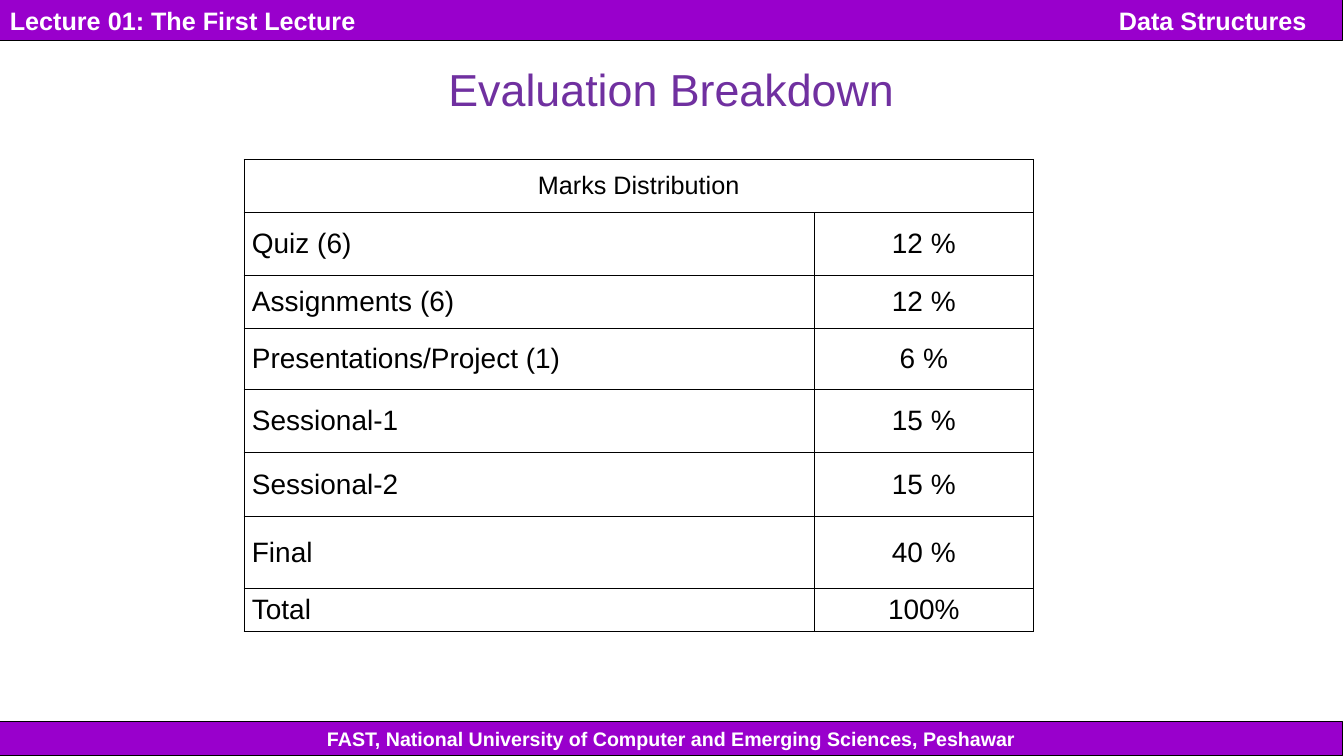
from dataclasses import dataclass

from lxml import etree
from pptx import Presentation
from pptx.dml.color import RGBColor
from pptx.enum import shapes, text
from pptx.oxml import ns
from pptx.util import Inches, Pt


@dataclass(frozen=True)
class Theme:
    font: str = "Arial"
    bar: RGBColor = RGBColor(0x99, 0x00, 0xCC)
    bar_text: RGBColor = RGBColor(0xFF, 0xFF, 0xFF)
    heading: RGBColor = RGBColor(0x70, 0x30, 0xA0)
    ink: RGBColor = RGBColor(0, 0, 0)
    title_size: int = 32
    header_size: int = 18
    footer_size: int = 14
    caption_size: int = 18
    cell_size: int = 20
    bar_line: float = 0.75
    cell_line: float = 0.45


THEME = Theme()
LEFT, CENTER = text.PP_ALIGN.LEFT, text.PP_ALIGN.CENTER
SLIDE_WIDTH, SLIDE_HEIGHT = 13.34, 7.5
BAR_WIDTH = 13.33
FOOTER_HEIGHT = 0.34

# Each row: label, share of marks, row height in inches
MARKS = [
    ("Quiz (6)", "12 %", 0.62),
    ("Assignments (6)", "12 %", 0.53),
    ("Presentations/Project (1)", "6 %", 0.6),
    ("Sessional-1", "15 %", 0.63),
    ("Sessional-2", "15 %", 0.63),
    ("Final", "40 %", 0.72),
    ("Total", "100%", 0.42),
]
CAPTION_HEIGHT = 0.53
COLUMN_WIDTHS = (5.66, 2.18)


def write(frame, words, size, color, align=LEFT, bold=False):
    paragraph = frame.paragraphs[0]
    paragraph.alignment = align
    run = paragraph.add_run()
    run.text = words
    run.font.name = THEME.font
    run.font.size = Pt(size)
    run.font.bold = bold
    run.font.color.rgb = color
    return paragraph


def add_bar(slide, top, height, words, size, align):
    bar = slide.shapes.add_shape(shapes.MSO_SHAPE.RECTANGLE, 0, Inches(top),
                                 Inches(BAR_WIDTH), Inches(height))
    bar.shadow.inherit = False
    bar.fill.solid()
    bar.fill.fore_color.rgb = THEME.bar
    bar.line.color.rgb = THEME.ink
    bar.line.width = Pt(THEME.bar_line)
    bar.text_frame.vertical_anchor = text.MSO_ANCHOR.MIDDLE
    return write(bar.text_frame, words, size, THEME.bar_text, align, bold=True)


def add_right_tab(paragraph, position):
    tabs = etree.SubElement(paragraph._p.get_or_add_pPr(), ns.qn("a:tabLst"))
    etree.SubElement(tabs, ns.qn("a:tab"), pos=str(Inches(position)), algn="r")


def set_title(slide, words):
    title = slide.shapes.title
    title.left, title.top = Inches(0), Inches(0.42)
    title.width, title.height = Inches(BAR_WIDTH), Inches(0.92)
    title.text_frame.vertical_anchor = text.MSO_ANCHOR.MIDDLE
    write(title.text_frame, words, THEME.title_size, THEME.heading, CENTER)


def outline_cell(cell):
    properties = cell._tc.get_or_add_tcPr()
    for position, side in enumerate(("lnL", "lnR", "lnT", "lnB")):
        border = etree.Element(ns.qn(f"a:{side}"), w=str(Pt(THEME.cell_line)))
        fill = etree.SubElement(border, ns.qn("a:solidFill"))
        etree.SubElement(fill, ns.qn("a:srgbClr"), val=str(THEME.ink))
        properties.insert(position, border)


def style_cell(cell):
    cell.fill.background()
    outline_cell(cell)
    cell.vertical_anchor = text.MSO_ANCHOR.MIDDLE
    cell.margin_left = cell.margin_right = Inches(0.08)
    cell.margin_top = cell.margin_bottom = Inches(0.05)


def add_marks_table(slide):
    heights = [CAPTION_HEIGHT] + [height for _, _, height in MARKS]
    marks = slide.shapes.add_table(
        len(heights), len(COLUMN_WIDTHS), Inches(2.42), Inches(1.58),
        Inches(sum(COLUMN_WIDTHS)), Inches(sum(heights))).table
    marks.first_row = marks.horz_banding = False
    for column, width in zip(marks.columns, COLUMN_WIDTHS):
        column.width = Inches(width)
    for row, height in zip(marks.rows, heights):
        row.height = Inches(height)
    for cell in marks.iter_cells():
        style_cell(cell)

    # Caption across both columns
    caption = marks.cell(0, 0)
    caption.merge(marks.cell(0, 1))
    write(caption.text_frame, "Marks Distribution", THEME.caption_size,
          THEME.ink, CENTER)

    # Assessed items and their shares
    for index, (label, share, _) in enumerate(MARKS, start=1):
        for column, (words, align) in enumerate(((label, LEFT), (share, CENTER))):
            write(marks.cell(index, column).text_frame, words,
                  THEME.cell_size, THEME.ink, align)


def main():
    deck = Presentation()
    deck.slide_width = Inches(SLIDE_WIDTH)
    deck.slide_height = Inches(SLIDE_HEIGHT)
    slide = deck.slides.add_slide(deck.slide_layouts.get_by_name("Title Only"))

    # Footer and header bars
    add_bar(slide, SLIDE_HEIGHT - FOOTER_HEIGHT, FOOTER_HEIGHT,
            "FAST, National University of Computer and Emerging Sciences, Peshawar",
            THEME.footer_size, CENTER)
    header = add_bar(slide, 0, 0.4, "Lecture 01: The First Lecture\tData Structures",
                     THEME.header_size, LEFT)
    add_right_tab(header, 12.87)

    # Title and table
    set_title(slide, "Evaluation Breakdown")
    add_marks_table(slide)
    deck.save("out.pptx")


if __name__ == "__main__":
    main()
